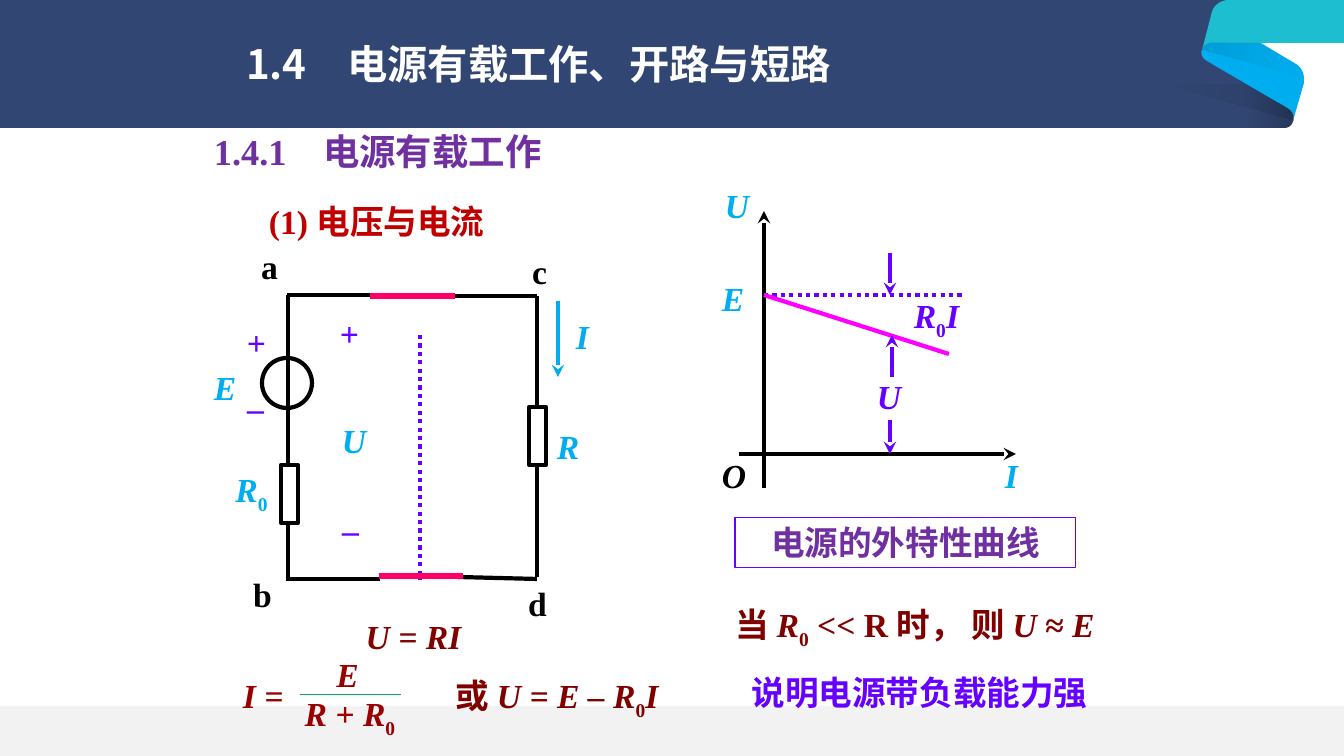
import pptx
import pptx.dml.color
import pptx.enum.dml
import pptx.enum.shapes
import pptx.enum.text
import pptx.oxml
import pptx.oxml.ns
import pptx.util

RGB = pptx.dml.color.RGBColor
SHAPE = pptx.enum.shapes.MSO_SHAPE
ALIGN = pptx.enum.text.PP_ALIGN
ANCHOR = pptx.enum.text.MSO_ANCHOR

WHITE = RGB(0xFF, 0xFF, 0xFF)
BLACK = RGB(0x00, 0x00, 0x00)
GREY = RGB(0xF2, 0xF2, 0xF2)
NAVY = RGB(0x31, 0x46, 0x72)
SKY = RGB(0x00, 0xAD, 0xEF)
TEAL = RGB(0x1D, 0xBE, 0xD0)
PURPLE = RGB(0x70, 0x30, 0xA0)
VIOLET = RGB(0x66, 0x00, 0xFF)
MAROON = RGB(0x80, 0x00, 0x00)
BRICK = RGB(0x99, 0x00, 0x00)
RED = RGB(0xC0, 0x00, 0x00)
PINK = RGB(0xFF, 0x00, 0x66)
ROSE = RGB(0xFF, 0x00, 0xFF)
GREEN = RGB(0x00, 0xB0, 0x50)

SERIF = "Times New Roman"
SANS = "Noto Sans CJK SC"


def px(n):
    return round(n * 914400 / 100.8)


def tag(parent, name, **attrs):
    node = pptx.oxml.parse_xml(f"<a:{name} {pptx.oxml.ns.nsdecls('a')}/>")
    for key, value in attrs.items():
        node.set(key, str(value))
    parent.append(node)


def fill_text(frame, text, color=BLACK, size=24, font=SERIF, align=ALIGN.CENTER,
              anchor=ANCHOR.MIDDLE, wrap=False):
    """Runs are split by |; a leading / is italic, a leading ~ is subscript."""
    frame.word_wrap = wrap
    frame.vertical_anchor = anchor
    para = frame.paragraphs[0]
    para.alignment = align
    for part in text.split("|"):
        run = para.add_run()
        run.text = part.lstrip("/~")
        run.font.name = font
        run.font.size = pptx.util.Pt(size)
        run.font.bold = True
        run.font.italic = part.startswith("/")
        run.font.color.rgb = color
        props = run._r.get_or_add_rPr()
        tag(props, "ea", typeface=SANS)
        if part.startswith("~"):
            props.set("baseline", "-25000")


def label(slide, text, x, y, w, h=50, **style):
    box = slide.shapes.add_textbox(px(x), px(y), px(w), px(h))
    fill_text(box.text_frame, text, **style)


def line(slide, x1, y1, x2, y2, color=BLACK, width=3, arrow=False, dots=False):
    wire = slide.shapes.add_connector(
        pptx.enum.shapes.MSO_CONNECTOR.STRAIGHT, px(x1), px(y1), px(x2), px(y2))
    wire.line.color.rgb = color
    wire.line.width = pptx.util.Pt(width)
    if dots:
        wire.line.dash_style = pptx.enum.dml.MSO_LINE.ROUND_DOT
    if arrow:
        tag(wire.line._get_or_add_ln(), "tailEnd", type="stealth")
    tag(wire._element.spPr, "effectLst")


def shape(slide, kind, x, y, w, h, fill=None, edge=None, width=3):
    item = slide.shapes.add_shape(kind, px(x), px(y), px(w), px(h))
    item.shadow.inherit = False
    if fill is None:
        item.fill.background()
    else:
        item.fill.solid()
        item.fill.fore_color.rgb = fill
    if edge is None:
        item.line.fill.background()
    else:
        item.line.color.rgb = edge
        item.line.width = pptx.util.Pt(width)
    return item


def curve(start, a, b, end, steps=8):
    for n in range(1, steps + 1):
        t = n / steps
        u = 1 - t
        yield tuple(u**3 * p + 3 * u * u * t * q + 3 * u * t * t * r + t**3 * s
                    for p, q, r, s in zip(start, a, b, end))


def outline(slide, *steps, fill=None, shade=0, angle=180):
    """A step is a point (2 numbers) or a cubic curve (6 numbers)."""
    spots = [steps[0]]
    for step in steps[1:]:
        if len(step) == 2:
            spots.append(step)
        else:
            spots += list(curve(spots[-1], step[:2], step[2:4], step[4:]))
    spots = [(px(x), px(y)) for x, y in spots]
    maker = slide.shapes.build_freeform(*spots[0])
    maker.add_line_segments(spots[1:], close=True)
    item = maker.convert_to_shape()
    item.shadow.inherit = False
    item.line.fill.background()
    if fill is not None:
        item.fill.solid()
        item.fill.fore_color.rgb = fill
        return
    item.fill.gradient()
    item.fill.gradient_angle = angle
    for stop, alpha in zip(item.fill.gradient_stops, (shade, 0)):
        stop.color.rgb = BLACK
        stop_color = stop._gs.find(".//" + pptx.oxml.ns.qn("a:srgbClr"))
        tag(stop_color, "alpha", val=alpha * 1000)


def banner(slide):
    fold = (1293, 112, 1294, 116, 1293, 121)
    tuck = (1292, 125, 1289, 128, 1284, 128)
    bend = (1304, 73, 1301, 67, 1296, 64)
    outline(slide, (0, 0), (1253, 0), (1253, 73), (1289, 109), fold, tuck,
            (0, 128), fill=NAVY)
    outline(slide, (1207, 61), (1289, 109), fold, (1304, 83), (1304, 78), bend,
            (1254, 39), (1212, 41), (1207, 41, 1203, 46, 1202, 50),
            (1200, 54, 1203, 59, 1207, 61), fill=SKY)
    outline(slide, (1202, 50), (1203, 46, 1207, 43, 1212, 43), (1344, 43), (1344, 0),
            (1229, 0), (1221, 0, 1214, 5, 1212, 12), (1204, 43), fill=TEAL)
    outline(slide, (1247, 85), (1289, 109), fold, tuck, (1247, 128), shade=20)
    outline(slide, (1161, 85), (1247, 85), (1289, 109), fold, shade=10)
    outline(slide, (1202, 50), (1304, 78), bend, (1260, 43), (1212, 43),
            (1207, 43, 1203, 46, 1202, 50), shade=10, angle=0)
    shape(slide, SHAPE.RECTANGLE, 0, 706, 1344, 50, fill=GREY)


def heads(slide):
    title = slide.shapes.title
    title._element.getparent().append(title._element)
    title.left, title.top, title.width, title.height = map(px, (236, 43, 907, 47))
    fill_text(title.text_frame, "1.4　电源有载工作、开路与短路", color=WHITE,
              size=28.8, font=SANS, align=ALIGN.LEFT, wrap=True)
    title.text_frame.paragraphs[0].line_spacing = 0.9
    left = dict(align=ALIGN.LEFT, anchor=ANCHOR.TOP, wrap=True)
    label(slide, "1.4.1　电源有载工作", 204, 124, 454, 54, color=PURPLE, size=26, **left)
    label(slide, "(1) 电压与电流", 259, 196, 304, color=RED, **left)


def circuit(slide):
    # Wires
    for top in (295, 371, 472):
        line(slide, 288, top, 288, top + 109)
    line(slide, 287, 295, 371, 295)
    line(slide, 450, 296, 537, 296)
    line(slide, 537, 296, 537, 577)
    line(slide, 287, 579, 380, 579)
    line(slide, 458, 577, 537, 579)
    line(slide, 420, 335, 420, 580, VIOLET, dots=True)
    # Closed switches
    line(slide, 370, 296, 455, 296, PINK, 4.5)
    line(slide, 379, 576, 463, 576, PINK, 4.5)
    # Source and resistors
    shape(slide, SHAPE.OVAL, 262, 358, 50, 50, edge=BLACK)
    for x, y in ((529, 407), (281, 465)):
        shape(slide, SHAPE.RECTANGLE, x, y, 17, 58, fill=WHITE, edge=BLACK)
    line(slide, 558, 301, 558, 377, SKY, arrow=True)
    # Quantities, nodes and signs
    for color, marks in (
        (SKY, (("/E", 204, 362, 42), ("/I", 566, 311, 33), ("/U", 332, 415, 44),
               ("/R|~0", 225, 467, 53), ("/R", 547, 421, 42))),
        (BLACK, (("a", 251, 241, 37), ("b", 243, 569, 39),
                 ("c", 522, 246, 35), ("d", 518, 578, 39))),
        (VIOLET, (("+", 330, 308, 39), ("_", 332, 493, 37),
                  ("+", 237, 317, 39), ("_", 237, 371, 37))),
    ):
        for mark in marks:
            label(slide, *mark, color=color)


def graph(slide):
    # Axes
    line(slide, 739, 454, 1016, 454, arrow=True)
    line(slide, 764, 488, 764, 211, arrow=True)
    # Source curve and its drop
    line(slide, 764, 295, 964, 295, VIOLET, dots=True)
    line(slide, 764, 295, 949, 354, ROSE)
    line(slide, 890, 253, 890, 295, VIOLET, arrow=True)
    line(slide, 890, 420, 890, 454, VIOLET, arrow=True)
    line(slide, 892, 377, 892, 335, VIOLET, arrow=True)
    label(slide, "/E", 712, 273, 42, color=SKY)
    label(slide, "/U", 715, 180, 44, color=SKY)
    label(slide, "/I", 995, 450, 33, color=SKY)
    label(slide, "/O", 712, 450, 44)
    label(slide, "/R|~0|/I", 903, 293, 67, color=VIOLET)
    label(slide, "/U", 867, 371, 44, color=VIOLET)
    # Caption and remarks
    frame = shape(slide, SHAPE.RECTANGLE, 735, 517, 341, 51, edge=VIOLET, width=0.75)
    fill_text(frame.text_frame, "电源的外特性曲线", color=PURPLE, wrap=True)
    label(slide, "当 |/R|~0| << R 时， 则 |/U |≈ |/E", 696, 602, 438, color=MAROON, wrap=True)
    label(slide, "说明电源带负载能力强", 712, 667, 415, color=VIOLET, wrap=True)


def laws(slide):
    label(slide, "/U = RI", 339, 611, 149, color=MAROON, wrap=True)
    label(slide, "/I =", 233, 670, 70, color=BRICK, align=ALIGN.LEFT)
    label(slide, "/E", 322, 649, 51, color=BRICK)
    line(slide, 300, 695, 401, 695, GREEN, 0.75)
    label(slide, "/R + R|~0", 294, 691, 112, color=BRICK)
    label(slide, "或 |/U = E – R|~0|/I", 436, 673, 242, color=MAROON)


def main():
    deck = pptx.Presentation()
    deck.slide_width, deck.slide_height = px(1344), px(756)
    slide = deck.slides.add_slide(deck.slide_layouts[5])
    banner(slide)
    heads(slide)
    circuit(slide)
    graph(slide)
    laws(slide)
    deck.save("out.pptx")


if __name__ == "__main__":
    main()
